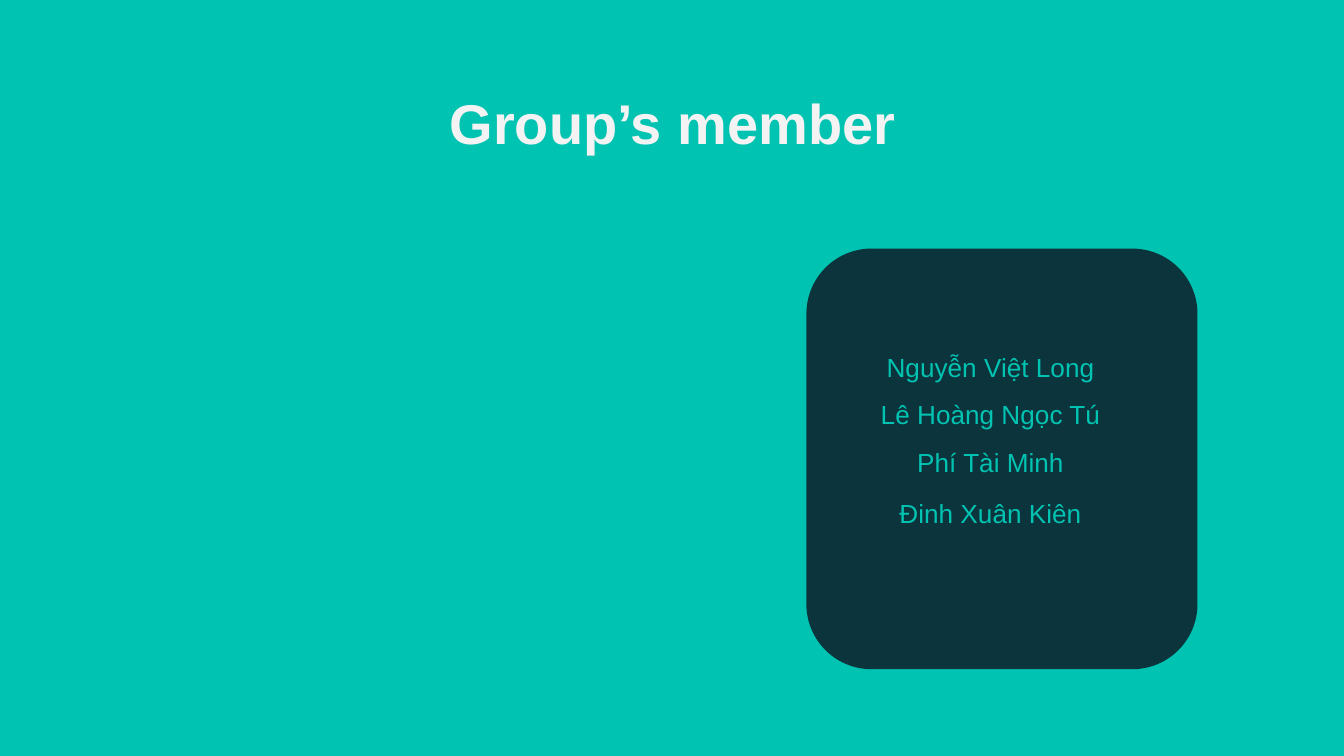
from typing import NamedTuple

from pptx import Presentation
from pptx import util as u
from pptx.dml.color import RGBColor
from pptx.enum import shapes, text

TEAL = RGBColor(0x00, 0xC3, 0xB1)
NAVY = RGBColor(0x0C, 0x34, 0x3D)
OFF_WHITE = RGBColor(0xF3, 0xF3, 0xF3)


class Box(NamedTuple):
    left: float
    top: float
    width: float
    height: float

    def lengths(self) -> list:
        return [u.Inches(side) for side in self]


class Member(NamedTuple):
    name: str
    top: float


MEMBERS = [
    Member("Nguyễn Việt Long", 2.5),
    Member("Lê Hoàng Ngọc Tú", 2.85),
    Member("Phí Tài Minh", 3.2),
    Member("Đinh Xuân Kiên", 3.58),
]


def write(holder, words: str, frame_format: dict, font_format: dict, color: RGBColor) -> None:
    """Put one centred line of text into a shape."""
    frame = holder.text_frame
    for key, value in frame_format.items():
        setattr(frame, key, value)
    line = frame.paragraphs[0]
    line.alignment = text.PP_ALIGN.CENTER
    run = line.add_run()
    run.text = words
    for key, value in font_format.items():
        setattr(run.font, key, value)
    run.font.color.rgb = color


def add_panel(slide, box: Box):
    """Draw a navy rounded rectangle."""
    panel = slide.shapes.add_shape(shapes.MSO_SHAPE.ROUNDED_RECTANGLE, *box.lengths())
    panel.shadow.inherit = False
    panel.fill.solid()
    panel.fill.fore_color.rgb = NAVY
    panel.line.fill.background()
    return panel


def main() -> None:
    # Widescreen 16:9 page
    deck = Presentation()
    deck.slide_width = u.Inches(10)
    deck.slide_height = u.Inches(10 * 9 / 16)
    slide = deck.slides.add_slide(deck.slide_layouts[6])
    slide.background.fill.solid()
    slide.background.fill.fore_color.rgb = TEAL

    # Heading
    heading = slide.shapes.add_textbox(*Box(0.79, 0.56, 8.43, 0.63).lengths())
    heading_frame = {"word_wrap": True, "vertical_anchor": text.MSO_ANCHOR.TOP}
    for side in ("left", "top", "right", "bottom"):
        heading_frame[f"margin_{side}"] = u.Inches(0.1)
    heading_font = {"name": "Arial", "size": u.Pt(30), "bold": True}
    write(heading, "Group’s member", heading_frame, heading_font, OFF_WHITE)

    # Card with the members' names
    add_panel(slide, Box(6, 1.85, 2.91, 3.13))
    member_frame = {"word_wrap": True, "vertical_anchor": text.MSO_ANCHOR.MIDDLE}
    member_font = {"name": "Arial", "size": u.Pt(14)}
    for member in MEMBERS:
        label = add_panel(slide, Box(6.38, member.top, 1.98, 0.47))
        write(label, member.name, member_frame, member_font, TEAL)

    deck.save("out.pptx")


if __name__ == "__main__":
    main()
